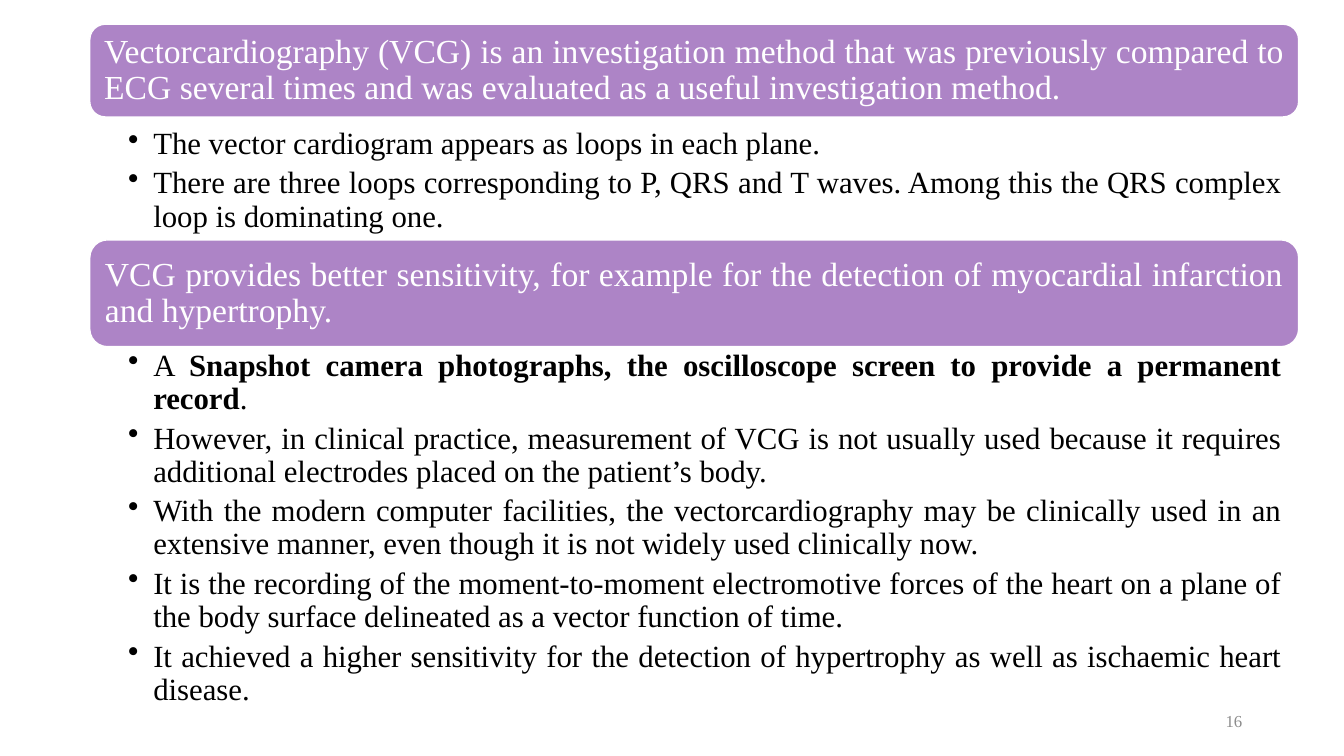
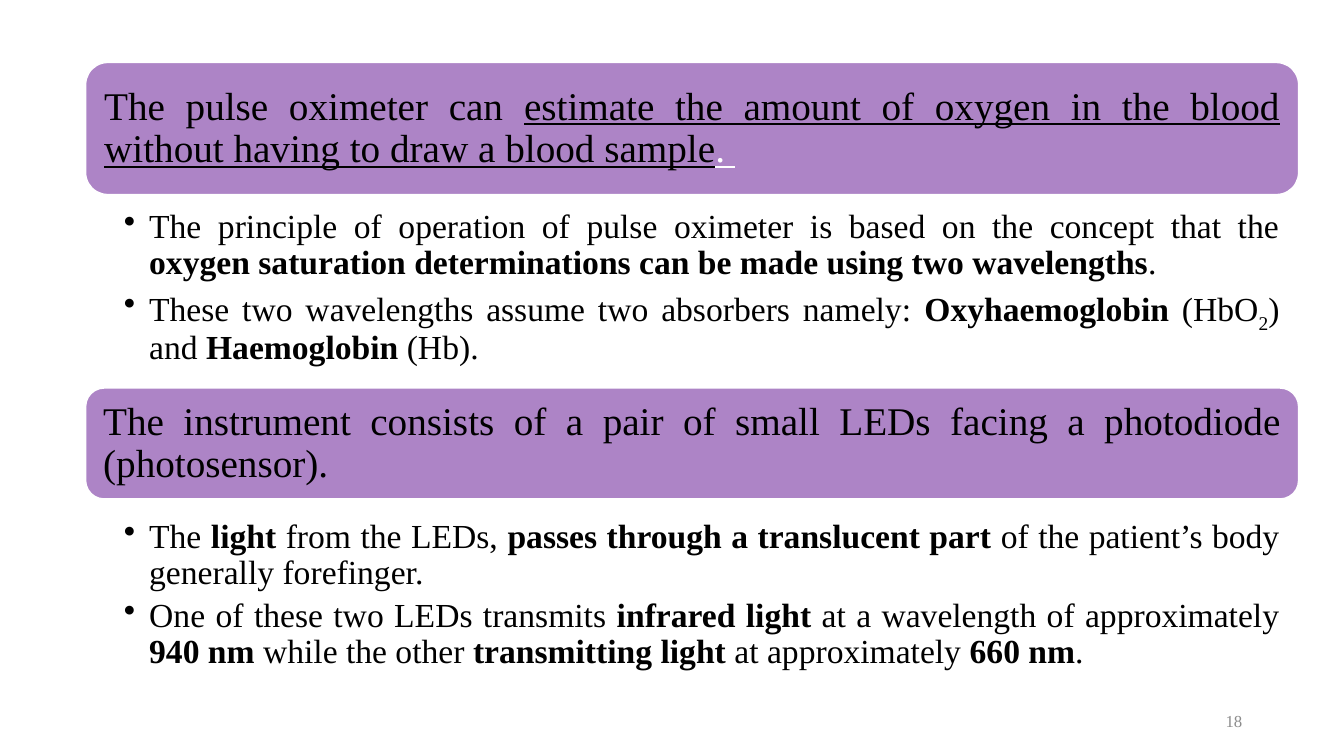
from dataclasses import dataclass

from pptx import Presentation
from pptx import util as u
from pptx.dml import color
from pptx.enum import shapes, text
from pptx.oxml import xmlchemy as xml

PX = 9144


@dataclass(frozen=True)
class Theme:
    font: str = "Times New Roman"
    band: str = "AD84C6"
    light: str = "FFFFFF"
    dark: str = "000000"
    grey: str = "8C8C8C"
    foot: int = 12
    edge: int = 1


T = Theme()


@dataclass(frozen=True)
class Style:
    head: int
    body: int
    ink: str
    pad: int
    right: int


def px(*vals):
    return [u.Emu(v * PX) for v in vals]


def rgb(code):
    return color.RGBColor.from_string(code)


def set_frame(frame, pads, anchor):
    frame.word_wrap = True
    frame.vertical_anchor = anchor
    (frame.margin_left, frame.margin_top,
     frame.margin_right, frame.margin_bottom) = px(*pads)


def add_runs(para, parts, size, ink):
    for part in parts:
        words, mark = part if isinstance(part, tuple) else (part, "")
        run = para.add_run()
        run.text = words
        font = run.font
        font.name, font.size = T.font, u.Pt(size)
        font.bold = "b" in mark
        font.underline = "u" in mark
        font.color.rgb = rgb(T.light if "w" in mark else ink)
        if "s" in mark:
            run._r.get_or_add_rPr().set("baseline", "-25000")


def add_bullet(para):
    props = para._p.get_or_add_pPr()
    props.set("marL", str(25 * PX))
    props.set("indent", str(-25 * PX))
    mark = xml.OxmlElement("a:buChar")
    mark.set("char", "•")
    props.append(mark)


def add_band(slide, box, parts, style):
    band = slide.shapes.add_shape(
        shapes.MSO_SHAPE.ROUNDED_RECTANGLE, *px(*box))
    band.shadow.inherit = False
    band.fill.solid()
    band.fill.fore_color.rgb = rgb(T.band)
    band.line.color.rgb = rgb(T.light)
    band.line.width = u.Pt(T.edge)
    set_frame(band.text_frame, [style.pad] * 4, text.MSO_ANCHOR.MIDDLE)
    para = band.text_frame.paragraphs[0]
    para.alignment = text.PP_ALIGN.JUSTIFY
    para.line_spacing = 0.9
    add_runs(para, parts, style.head, style.ink)


def add_list(slide, box, items, style):
    frame = slide.shapes.add_textbox(*px(*box)).text_frame
    set_frame(frame, (38, 3, style.right, 3), text.MSO_ANCHOR.TOP)
    for i, parts in enumerate(items):
        para = frame.add_paragraph() if i else frame.paragraphs[0]
        add_bullet(para)
        para.level = 1
        para.alignment = text.PP_ALIGN.JUSTIFY
        para.line_spacing = 0.9
        para.space_after = u.Pt(style.body * 0.2)
        add_runs(para, parts, style.body, T.dark)


def add_foot(slide, box, num):
    frame = slide.shapes.add_textbox(*px(*box)).text_frame
    set_frame(frame, (10, 5, 10, 5), text.MSO_ANCHOR.MIDDLE)
    para = frame.paragraphs[0]
    para.alignment = text.PP_ALIGN.RIGHT
    add_runs(para, [str(num)], T.foot, T.grey)


def add_page(deck, num, left, width, style, parts):
    slide = deck.slides.add_slide(deck.slide_layouts[6])
    add_foot(slide, (942, 695, 300, 40), num)
    for (top, high), head, (low, tall), items in parts:
        add_band(slide, (left, top, width, high), head, style)
        add_list(slide, (left, low, width, tall), items, style)


VECTOR = [
    ((24, 92),
     ["Vectorcardiography (VCG) is an investigation method that was "
      "previously compared to ECG several times and was evaluated as a "
      "useful investigation method."],
     (124, 106),
     [["The vector cardiogram appears as loops in each plane."],
      ["There are three loops corresponding to P, QRS and T waves. Among "
       "this the QRS complex loop is dominating one."]]),
    ((238, 106),
     ["VCG provides better sensitivity, for example for the detection of "
      "myocardial infarction and hypertrophy."],
     (344, 355),
     [["A ",
       ("Snapshot camera photographs, the oscilloscope screen to provide a "
        "permanent record", "b"),
       "."],
      ["However, in clinical practice, measurement of VCG is not usually "
       "used because it requires additional electrodes placed on the "
       "patient’s body."],
      ["With the modern computer facilities, the vectorcardiography may be "
       "clinically used in an extensive manner, even though it is not "
       "widely used clinically now."],
      ["It is the recording of the moment-to-moment electromotive forces of "
       "the heart on a plane of the body surface delineated as a vector "
       "function of time."],
      ["It achieved a higher sensitivity for the detection of hypertrophy "
       "as well as ischaemic heart disease."]]),
]

PULSE = [
    ((62, 131),
     ["The pulse oximeter can ",
      ("estimate the amount of oxygen in the blood without having to draw a "
       "blood sample", "u"),
      (". ", "uw")],
     (205, 156),
     [["The principle of operation of pulse oximeter is based on the "
       "concept that the ",
       ("oxygen saturation determinations can be made using two "
        "wavelengths", "b"),
       "."],
      ["These two wavelengths assume two absorbers namely: ",
       ("Oxyhaemoglobin", "b"), " (HbO", ("2", "s"), ") and ",
       ("Haemoglobin", "b"), " (Hb)."]]),
    ((385, 110),
     ["The instrument consists of a pair of small LEDs facing a photodiode "
      "(photosensor)."],
     (512, 148),
     [["The ", ("light", "b"), " from the LEDs, ",
       ("passes through a translucent part ", "b"),
       "of the patient’s body generally forefinger."],
      ["One of these two LEDs transmits ", ("infrared light ", "b"),
       "at a wavelength of approximately ", ("940 nm ", "b"),
       "while the other ", ("transmitting light ", "b"),
       "at approximately ", ("660 nm", "b"), "."]]),
]


def main():
    deck = Presentation()
    deck.slide_width, deck.slide_height = px(1333, 750)
    add_page(deck, 16, 89, 1199, Style(24, 22, T.light, 10, 17), VECTOR)
    add_page(deck, 18, 85, 1203, Style(28, 24, T.dark, 12, 19), PULSE)
    deck.save("out.pptx")


if __name__ == "__main__":
    main()
